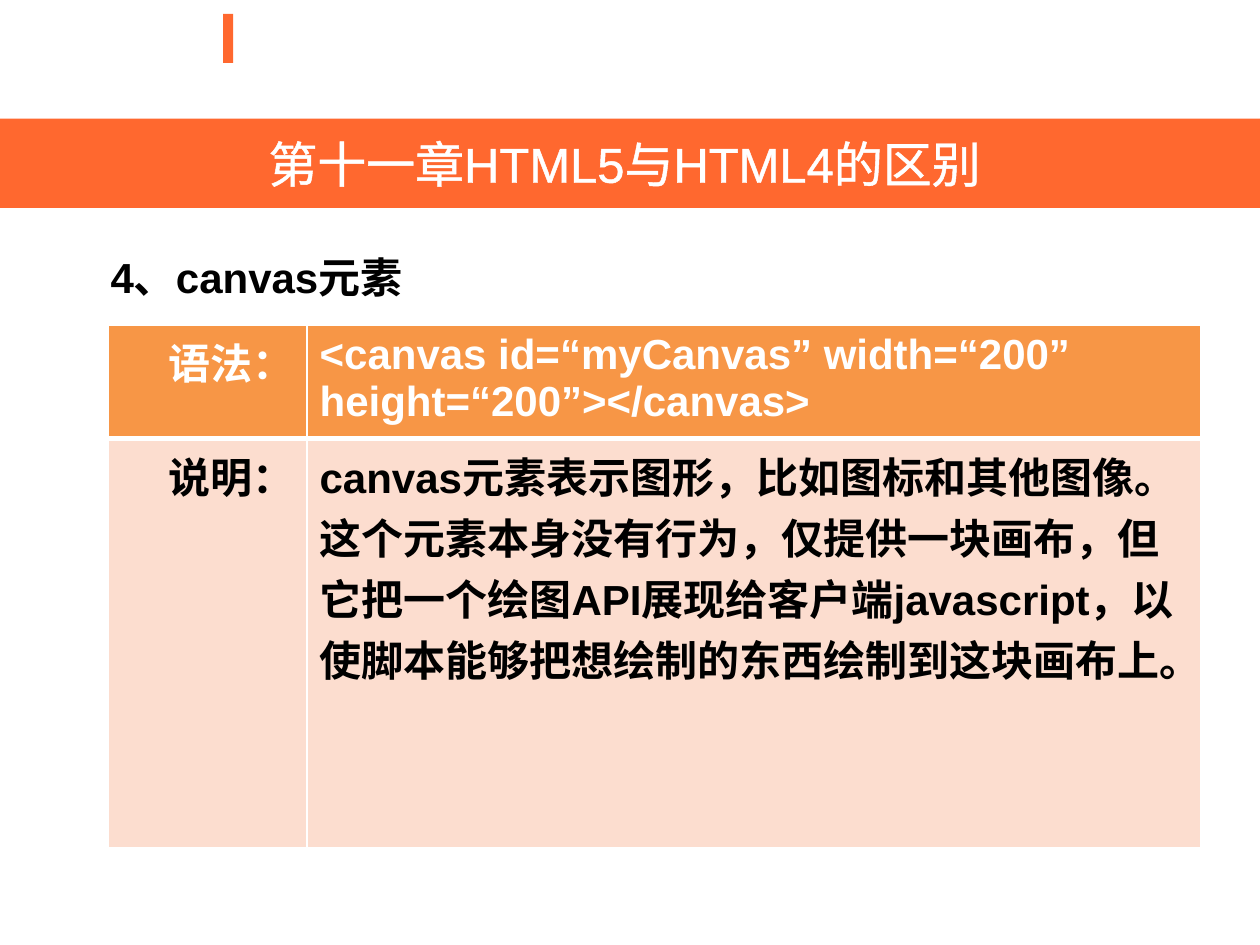
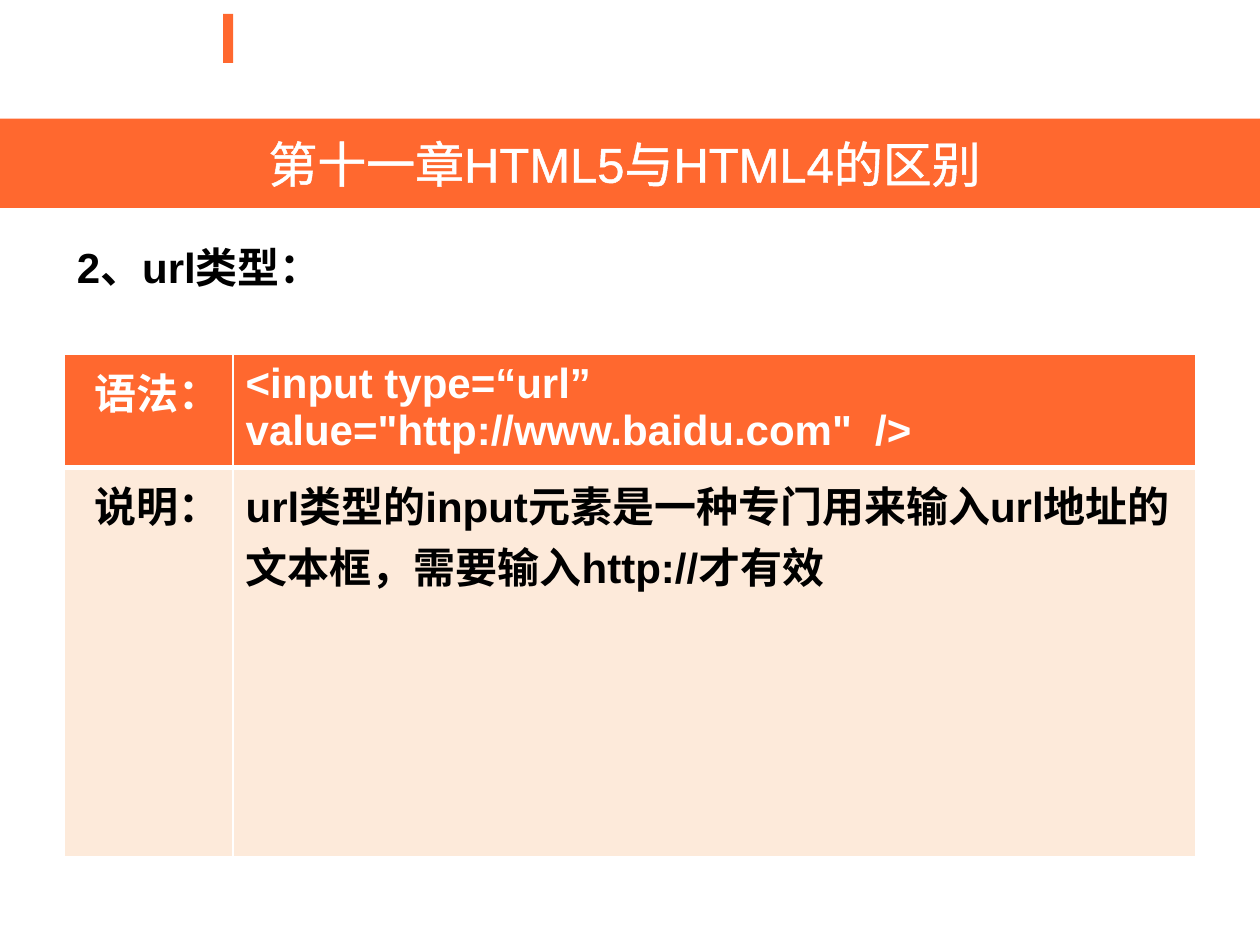
from lxml import etree
from pptx import Presentation
from pptx.dml.color import RGBColor
from pptx.enum.shapes import MSO_SHAPE
from pptx.enum.text import MSO_ANCHOR, MSO_AUTO_SIZE, PP_ALIGN
from pptx.oxml.ns import qn
from pptx.util import Cm, Pt

RECTANGLE = MSO_SHAPE.RECTANGLE
MIDDLE = MSO_ANCHOR.MIDDLE
GROW, FIXED = MSO_AUTO_SIZE.SHAPE_TO_FIT_TEXT, MSO_AUTO_SIZE.NONE
LEFT, CENTER, RIGHT = PP_ALIGN.LEFT, PP_ALIGN.CENTER, PP_ALIGN.RIGHT

ORANGE = RGBColor(0xFF, 0x68, 0x2F)
AMBER = RGBColor(0xF7, 0x96, 0x46)
PINK = RGBColor(0xFC, 0xDD, 0xCF)
CREAM = RGBColor(0xFD, 0xEA, 0xDA)
WHITE = RGBColor(0xFF, 0xFF, 0xFF)
BLACK = RGBColor(0x00, 0x00, 0x00)

CHAPTER = "第十一章HTML5与HTML4的区别\u00a0"
CHAPTER_FORMAT = {"name": "Arial", "size": Pt(28), "bold": False}
BODY_FORMAT = {"name": "Arial", "size": Pt(24), "bold": True}
BORDERS = ("a:lnL", "a:lnR", "a:lnT", "a:lnB")
ACCENT_BOX = (4.5, 0.28, 0.2, 0.99)
BAND_BOX = (0, 2.39, 25.4, 1.8)

# Lengths are in centimetres
TOPICS = [
    {
        "heading": "4、canvas元素",
        "heading_box": (1.98, 4.95, 19.53, 1.27),
        "heading_fit": GROW,
        "table_at": (2.18, 6.55),
        "columns": (4.01, 18.01),
        "rows": (1.78, 8.26),
        "fills": (AMBER, PINK),
        "syntax": "<canvas id=“myCanvas” width=“200” height=“200”></canvas>",
        "explanation": "canvas元素表示图形，比如图标和其他图像。这个元素本身没有行为，"
                       "仅提供一块画布，但它把一个绘图API展现给客户端javascript，"
                       "以使脚本能够把想绘制的东西绘制到这块画布上。",
    },
    {
        "heading": "2、url类型：",
        "heading_box": (1.3, 4.75, 22.86, 11.99),
        "heading_fit": FIXED,
        "table_at": (1.3, 7.14),
        "columns": (3.4, 19.41),
        "rows": (2.21, 7.85),
        "fills": (ORANGE, CREAM),
        "syntax": "<input type=“url” value=\"http://www.baidu.com\"  />",
        "explanation": "url类型的input元素是一种专门用来输入url地址的文本框，"
                       "需要输入http://才有效",
    },
]


def write(frame, text, formats, color, align=LEFT):
    paragraph = frame.paragraphs[0]
    paragraph.alignment = align
    run = paragraph.add_run()
    run.text = text
    for attribute, value in formats.items():
        setattr(run.font, attribute, value)
    run.font.color.rgb = color
    return run


def add_white_line(parent, tag, width):
    line = etree.Element(qn(tag), w=str(int(width)))
    fill = etree.SubElement(line, qn("a:solidFill"))
    etree.SubElement(fill, qn("a:srgbClr"), val=str(WHITE))
    parent.append(line)
    return line


prs = Presentation()
prs.slide_width, prs.slide_height = Cm(25.4), Cm(19.05)
blank = prs.slide_layouts[6]

for topic in TOPICS:
    slide = prs.slides.add_slide(blank)

    # Accent mark and chapter band
    for box in (ACCENT_BOX, BAND_BOX):
        band = slide.shapes.add_shape(RECTANGLE, *map(Cm, box))
        band.shadow.inherit = False
        band.fill.solid()
        band.fill.fore_color.rgb = ORANGE
        band.line.fill.background()
    band.text_frame.vertical_anchor = MIDDLE
    chapter = write(band.text_frame, CHAPTER, CHAPTER_FORMAT, WHITE, CENTER)
    properties = chapter.font._element
    properties.insert(0, add_white_line(properties, "a:ln", Pt(1.45)))

    # Topic heading
    heading = slide.shapes.add_textbox(*map(Cm, topic["heading_box"])).text_frame
    heading.word_wrap = True
    heading.auto_size = topic["heading_fit"]
    write(heading, topic["heading"], BODY_FORMAT, BLACK)

    # Syntax and explanation table
    columns, rows = topic["columns"], topic["rows"]
    table = slide.shapes.add_table(
        2, 2, *map(Cm, (*topic["table_at"], sum(columns), sum(rows)))).table
    for column, width in zip(table.columns, columns):
        column.width = Cm(width)
    for row, height in zip(table.rows, rows):
        row.height = Cm(height)

    entries = (("语法：", topic["syntax"]), ("说明：", topic["explanation"]))
    for r, (entry, fill, color) in enumerate(
            zip(entries, topic["fills"], (WHITE, BLACK))):
        divider = "a:lnT" if r else "a:lnB"
        for c, (text, align) in enumerate(zip(entry, (RIGHT, LEFT))):
            cell = table.cell(r, c)
            write(cell.text_frame, text, BODY_FORMAT, color, align)
            cell_properties = cell._tc.get_or_add_tcPr()
            for tag in BORDERS:
                add_white_line(cell_properties, tag,
                               Pt(3) if tag == divider else Pt(1))
            cell.fill.solid()
            cell.fill.fore_color.rgb = fill

prs.save("out.pptx")
